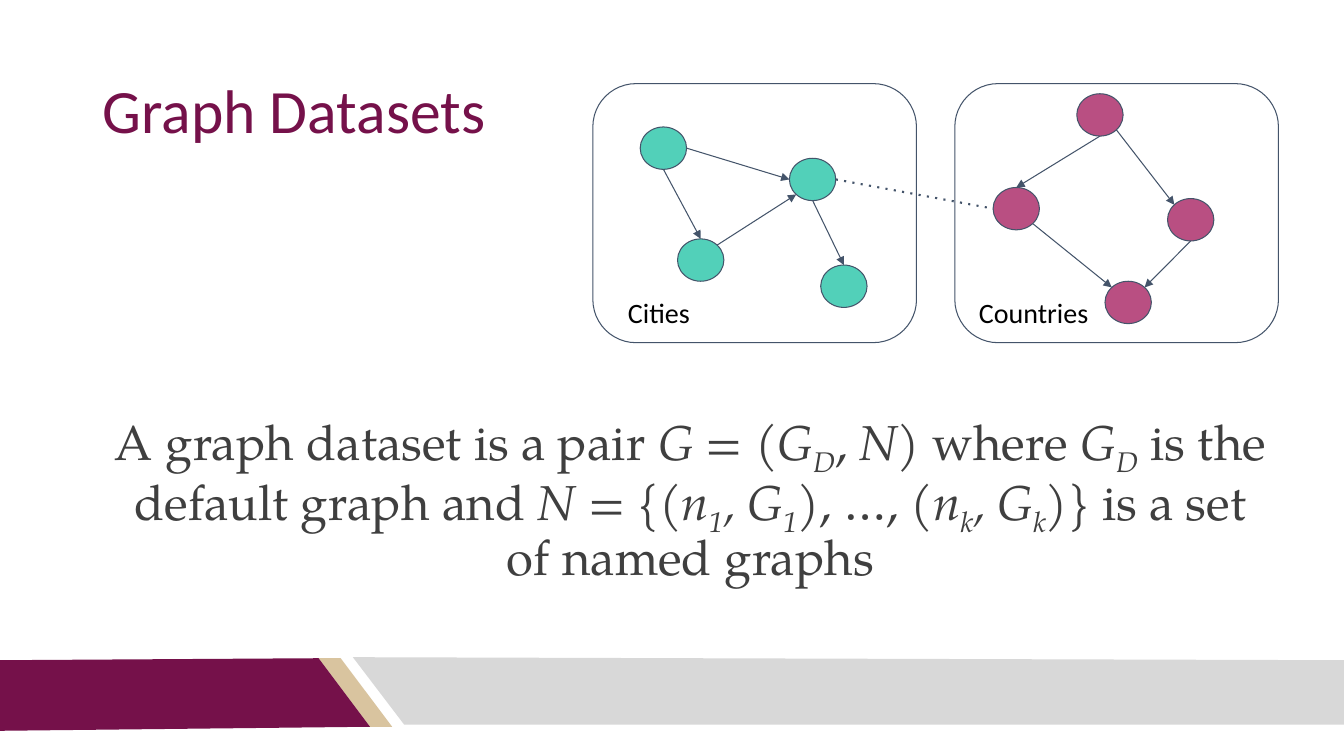
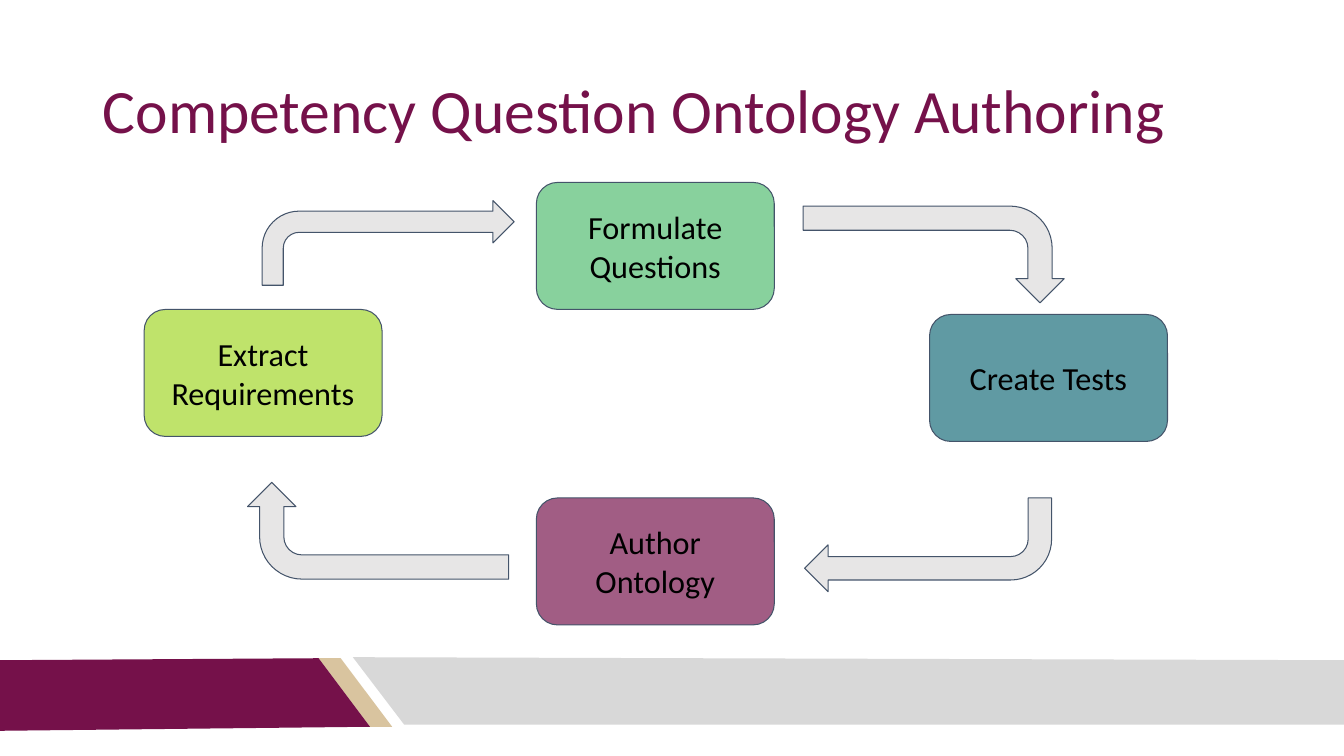
"""Build two slides on graph datasets and ontology authoring."""
from math import sqrt

from lxml.etree import SubElement
from pptx import Presentation
from pptx.dml.color import RGBColor
from pptx.enum.shapes import MSO_CONNECTOR, MSO_SHAPE
from pptx.enum.text import MSO_ANCHOR, MSO_AUTO_SIZE, PP_ALIGN
from pptx.oxml.ns import qn
from pptx.util import Pt

EMU_PER_PX = 9144
SLIDE_SIZE = (1333, 750)
MAROON, GOLD, SILVER = "75114A", "D9C49F", "D8D8D8"
OUTLINE, ARROW_GRAY, BLACK, DARK_GRAY = "44546A", "E7E6E6", "000000", "3F3F3F"
TEAL, PINK = "52D0B9", "B94F82"
SANS, SERIF = "Calibri", "TeX Gyre Pagella"

BANDS = [
    (GOLD, [(316, 653), (338, 653), (389, 721), (367, 721)]),
    (MAROON, [(0, 655), (316, 653), (367, 721), (0, 725)]),
    (SILVER, [(350, 652), (1333, 655), (1333, 719), (401, 719)]),
]

NODE_SIZE = (46, 42)
DIAGONAL = 1 / sqrt(2)
SITES = {
    "top": (0, -1), "bottom": (0, 1), "left": (-1, 0), "right": (1, 0),
    "top left": (-DIAGONAL, -DIAGONAL), "top right": (DIAGONAL, -DIAGONAL),
    "bottom left": (-DIAGONAL, DIAGONAL), "bottom right": (DIAGONAL, DIAGONAL),
}
GRAPHS = [
    {
        "name": "Cities", "left": 588, "label_left": 613, "color": TEAL,
        "nodes": [(635, 126), (783, 157), (672, 237), (814, 263)],
        "edges": [(0, "right", 1, "left"), (0, "bottom", 2, "top"),
                  (2, "top right", 1, "bottom left"), (1, "bottom", 3, "top")],
    },
    {
        "name": "Countries", "left": 947, "label_left": 961, "color": PINK,
        "nodes": [(1068, 93), (1158, 197), (985, 186), (1096, 279)],
        "edges": [(0, "bottom", 2, "top"), (0, "bottom right", 1, "top left"),
                  (2, "bottom right", 3, "top left"), (1, "bottom", 3, "top right")],
    },
]

ITALIC = {"italic": True}
SUBSCRIPT = {"italic": True, "baseline": -25}
DEFINITION = [
    ("A graph dataset is a pair ", {}), ("G", ITALIC), (" = (", {}),
    ("G", ITALIC), ("D", SUBSCRIPT), (", ", {}), ("N", ITALIC), (") where ", {}),
    ("G", ITALIC), ("D", SUBSCRIPT), (" is the default graph and ", {}),
    ("N", ITALIC), (" = {(", {}), ("n", ITALIC), ("1", SUBSCRIPT),
    (", G", ITALIC), ("1", SUBSCRIPT), ("), …, (", {}), ("n", ITALIC),
    ("k", SUBSCRIPT), (", G", ITALIC), ("k", SUBSCRIPT),
    (")} is a set of named graphs", {}),
]

STEP_SIZE = (236, 126)
STEPS = [
    (143, 307, "B0DD46", 80, ["Extract", "Requirements"]),
    (532, 181, "88D19D", 100, ["Formulate Questions"]),
    (922, 312, "39818D", 80, ["Create Tests"]),
    (532, 494, MAROON, 68, ["Author Ontology"]),
]
CYCLE_ARROWS = [
    ((260, 199, 250, 84), 0),
    ((878, 123, 96, 259), 90),
    ((798, 494, 245, 93), 180),
    ((327, 397, 96, 259), 270),
]


def px(*lengths):
    """Turn px lengths into a list of EMU lengths."""
    return [round(length * EMU_PER_PX) for length in lengths]


def rgb(color):
    """Turn a hex string into a colour."""
    return RGBColor.from_string(color)


def write_text(shape, paragraphs, size, color=BLACK, font=SANS, align=PP_ALIGN.LEFT,
               anchor=MSO_ANCHOR.TOP, line_spacing=None, auto_size=MSO_AUTO_SIZE.NONE):
    """Fill a shape with paragraphs, each a string or a list of styled runs."""
    frame = shape.text_frame
    frame.word_wrap = True
    frame.auto_size = auto_size
    frame.vertical_anchor = anchor
    (frame.margin_left, frame.margin_top,
     frame.margin_right, frame.margin_bottom) = px(10, 10, 10, 10)
    for index, content in enumerate(paragraphs):
        paragraph = frame.add_paragraph() if index else frame.paragraphs[0]
        paragraph.alignment = align
        paragraph.line_spacing = line_spacing
        runs = [(content, {})] if isinstance(content, str) else content
        for text, style in runs:
            run = paragraph.add_run()
            run.text = text
            run.font.name = font
            run.font.size = Pt(size)
            run.font.color.rgb = rgb(color)
            run.font.italic = style.get("italic", False)
            if "baseline" in style:
                run.font.element.set("baseline", str(style["baseline"] * 1000)) if hasattr(
                    run.font, "element") else run._r.get_or_add_rPr().set(
                    "baseline", str(style["baseline"] * 1000))


def add_text(slide, box, paragraphs, **text_format):
    """Add a text box that grows with its text."""
    shape = slide.shapes.add_textbox(*px(*box))
    write_text(shape, paragraphs, auto_size=MSO_AUTO_SIZE.SHAPE_TO_FIT_TEXT, **text_format)


def paint(shape, fill=None, line=None, opacity=100):
    """Set the fill, outline and opacity of a shape and drop its shadow."""
    shape.shadow.inherit = False
    if fill:
        shape.fill.solid()
        shape.fill.fore_color.rgb = rgb(fill)
    else:
        shape.fill.background()
    if line:
        shape.line.color.rgb = rgb(line)
        shape.line.width = Pt(0.75)
    else:
        shape.line.fill.background()
    if opacity < 100:
        color = shape.element.spPr.find(qn("a:solidFill")).find(qn("a:srgbClr"))
        SubElement(color, qn("a:alpha")).set("val", str(opacity * 1000))


def add_shape(slide, kind, box, fill=None, opacity=100):
    """Add an outlined preset shape."""
    shape = slide.shapes.add_shape(kind, *px(*box))
    paint(shape, fill, OUTLINE, opacity)
    return shape


def add_line(slide, start, end, width=0.75, dotted=False):
    """Add a straight arrow, or a dotted line without a head."""
    connector = slide.shapes.add_connector(MSO_CONNECTOR.STRAIGHT, *px(*start, *end))
    connector.line.color.rgb = rgb(OUTLINE)
    connector.line.width = Pt(width)
    properties = connector.element.spPr
    outline = properties.find(qn("a:ln"))
    if dotted:
        SubElement(outline, qn("a:prstDash")).set("val", "dot")
    else:
        SubElement(outline, qn("a:tailEnd")).set("type", "triangle")
    SubElement(properties, qn("a:effectLst"))


def add_layout_bands(slide):
    """Draw the footer bands once and place them on the layout of the slide."""
    layout_tree = slide.slide_layout.shapes._spTree
    for color, points in BANDS:
        builder = slide.shapes.build_freeform(*points[0], scale=EMU_PER_PX)
        builder.add_line_segments(points[1:], close=True)
        band = builder.convert_to_shape()
        paint(band, color)
        layout_tree.append(band.element)


def add_titled_slide(presentation, title):
    """Add a title-only slide with the shared title style."""
    slide = presentation.slides.add_slide(presentation.slide_layouts[5])
    shape = slide.shapes.title
    shape.left, shape.top, shape.width, shape.height = px(92, 40, 1150, 145)
    write_text(shape, [title], size=44, color=MAROON,
               anchor=MSO_ANCHOR.MIDDLE, line_spacing=0.9)
    return slide


def site(node, name):
    """Find the named point on the rim of a node."""
    return [start + length / 2 * (1 + offset)
            for start, length, offset in zip(node, NODE_SIZE, SITES[name])]


def add_graph(slide, graph):
    """Draw one named graph in its frame."""
    add_shape(slide, MSO_SHAPE.ROUNDED_RECTANGLE, (graph["left"], 83, 321, 257))
    nodes = graph["nodes"]
    for node in nodes:
        add_shape(slide, MSO_SHAPE.OVAL, (*node, *NODE_SIZE), graph["color"])
    for source, source_site, target, target_site in graph["edges"]:
        add_line(slide, site(nodes[source], source_site), site(nodes[target], target_site))
    add_text(slide, (graph["label_left"], 283, 152, 54), [graph["name"]], size=20)


def build_datasets_slide(slide):
    """Draw the two linked graphs and the definition."""
    for graph in GRAPHS:
        add_graph(slide, graph)
    cities, countries = GRAPHS
    add_line(slide, site(cities["nodes"][1], "right"),
             site(countries["nodes"][2], "left"), width=1.5, dotted=True)
    add_text(slide, (97, 399, 1176, 179), [DEFINITION], size=35, color=DARK_GRAY,
             font=SERIF, align=PP_ALIGN.CENTER, line_spacing=0.9)


def build_authoring_slide(slide):
    """Draw the authoring cycle."""
    for left, top, color, opacity, lines in STEPS:
        step = add_shape(slide, MSO_SHAPE.ROUNDED_RECTANGLE,
                         (left, top, *STEP_SIZE), color, opacity)
        write_text(step, lines, size=23, align=PP_ALIGN.CENTER, anchor=MSO_ANCHOR.MIDDLE)
    for box, rotation in CYCLE_ARROWS:
        arrow = add_shape(slide, MSO_SHAPE.BENT_ARROW, box, ARROW_GRAY)
        arrow.rotation = rotation


def main():
    """Build and save the presentation."""
    presentation = Presentation()
    presentation.slide_width, presentation.slide_height = px(*SLIDE_SIZE)
    datasets = add_titled_slide(presentation, "Graph Datasets")
    add_layout_bands(datasets)
    build_datasets_slide(datasets)
    build_authoring_slide(add_titled_slide(presentation, "Competency Question Ontology Authoring"))
    presentation.save("out.pptx")


if __name__ == "__main__":
    main()
